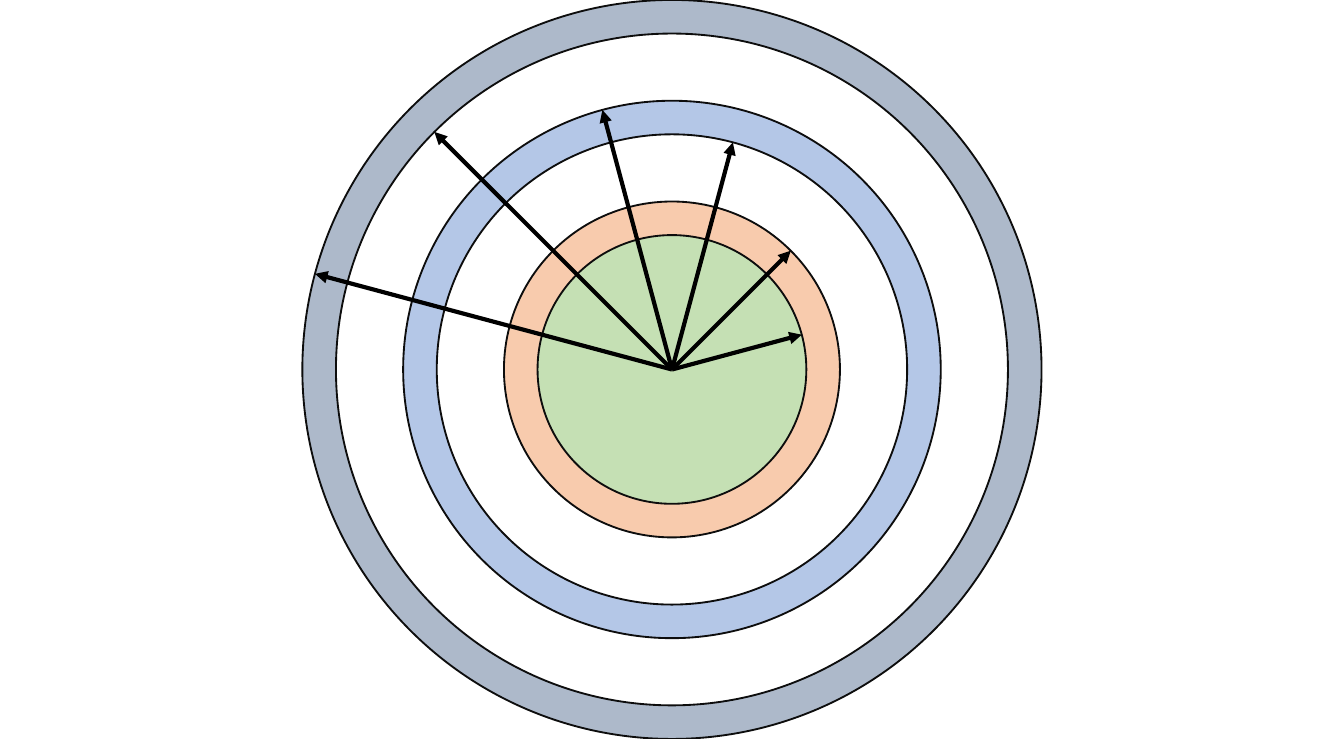
from math import cos, radians, sin

from lxml import etree
from pptx import Presentation
from pptx.dml.color import RGBColor
from pptx.enum.shapes import MSO_CONNECTOR, MSO_SHAPE
from pptx.oxml.ns import qn
from pptx.util import Inches, Pt

OVAL = MSO_SHAPE.OVAL
STRAIGHT = MSO_CONNECTOR.STRAIGHT

THEME = {
    "outer": "ADB9CA",
    "middle": "B4C7E7",
    "inner": "F8CBAD",
    "core": "C5E0B4",
    "gap": "FFFFFF",
    "outline": "0D0D0D",
    "arrow": "000000",
    "outline_width": 1,
    "arrow_width": 2.25,
}

# Radius in inches and fill, from the outside in
CIRCLES = [
    (2.75, "outer"),
    (2.5, "gap"),
    (2, "middle"),
    (1.75, "gap"),
    (1.25, "inner"),
    (1, "core"),
]
FIRST_ANGLE, ANGLE_STEP = 15, 30


def format_line(line, role):
    line.color.rgb = RGBColor.from_string(THEME[role])
    line.width = Pt(THEME[f"{role}_width"])


deck = Presentation()
deck.slide_width, deck.slide_height = Inches(10), Inches(5.5)
slide = deck.slides.add_slide(deck.slide_layouts[6])
center_x, center_y = deck.slide_width // 2, deck.slide_height // 2

for radius, role in CIRCLES:
    reach = Inches(radius)
    circle = slide.shapes.add_shape(
        OVAL, center_x - reach, center_y - reach, 2 * reach, 2 * reach
    )
    circle.shadow.inherit = False
    circle.fill.solid()
    circle.fill.fore_color.rgb = RGBColor.from_string(THEME[role])
    format_line(circle.line, "outline")

# One radius arrow per circle, fanning counterclockwise from the core outward
for step, (radius, _) in enumerate(reversed(CIRCLES)):
    angle = radians(FIRST_ANGLE + step * ANGLE_STEP)
    arrow = slide.shapes.add_connector(
        STRAIGHT,
        center_x,
        center_y,
        center_x + Inches(radius * cos(angle)),
        center_y - Inches(radius * sin(angle)),
    )
    format_line(arrow.line, "arrow")
    etree.SubElement(arrow.line._get_or_add_ln(), qn("a:tailEnd"), type="triangle")
    etree.SubElement(arrow._element.spPr, qn("a:effectLst"))

deck.save("out.pptx")
